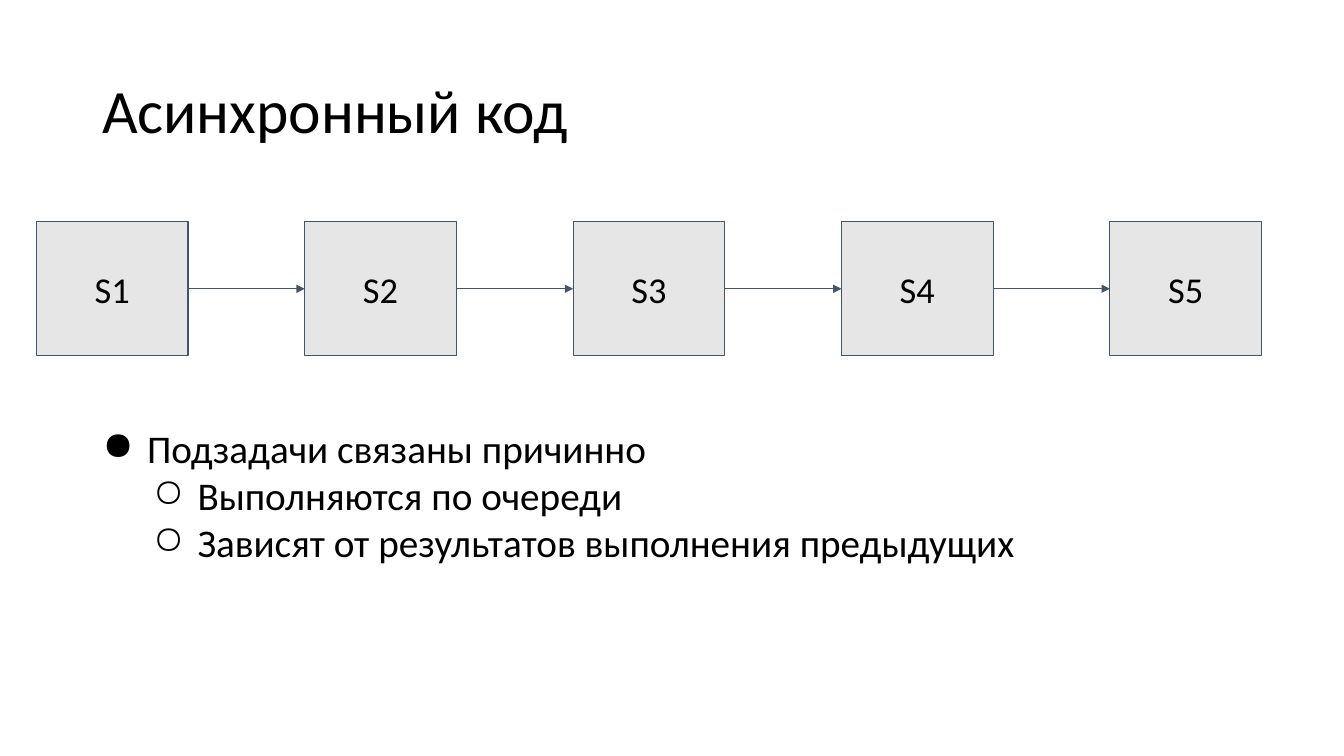
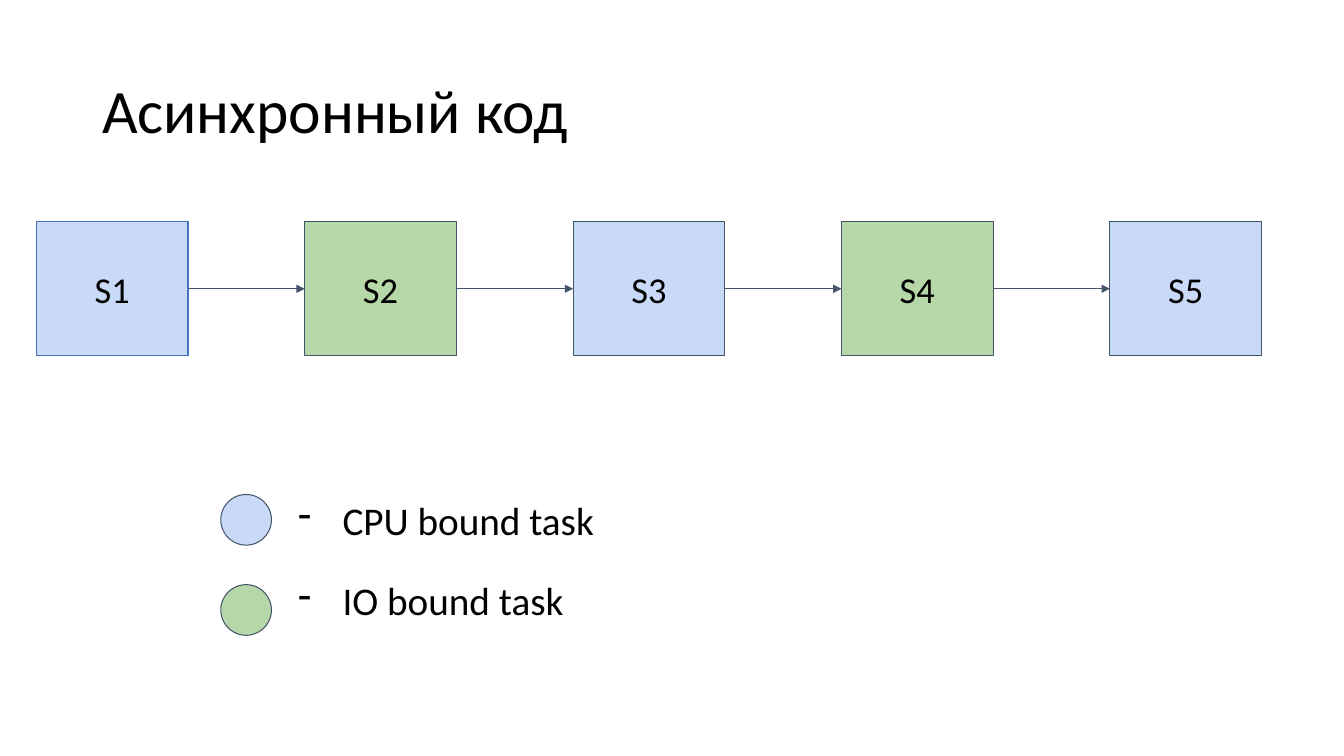
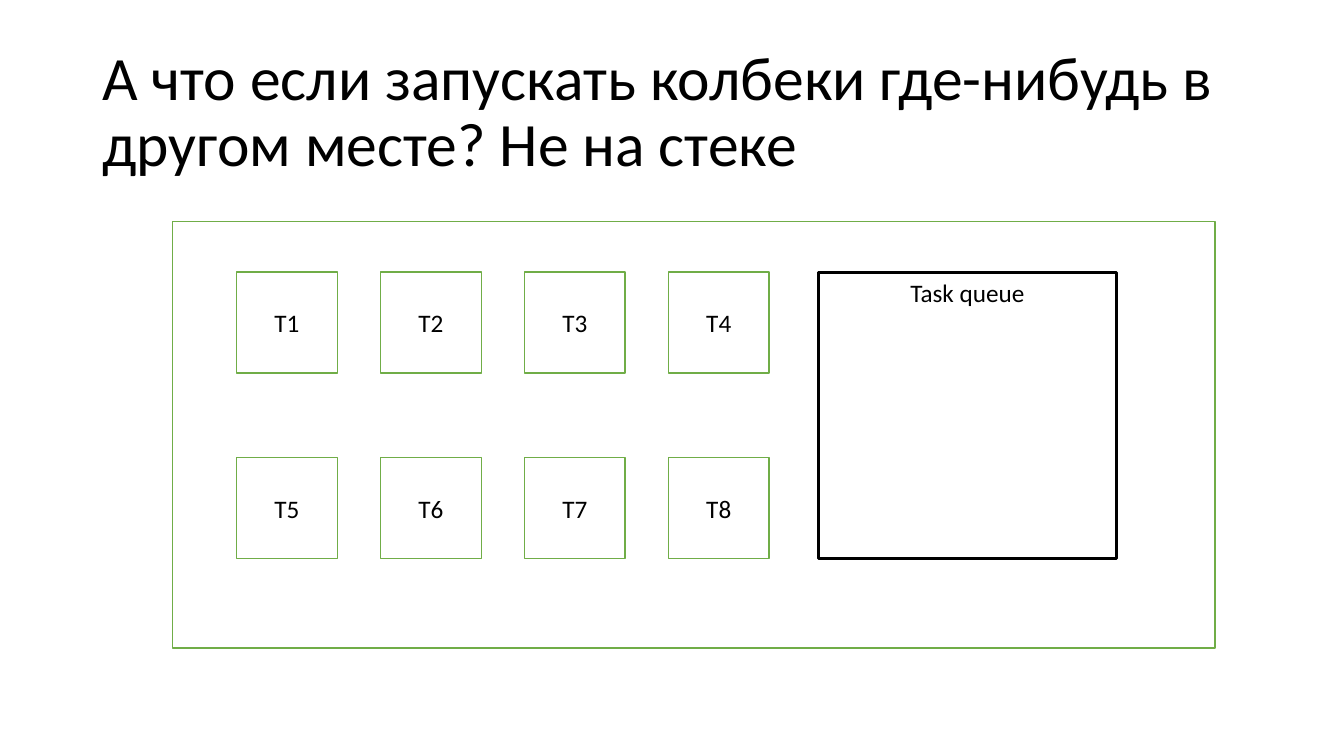
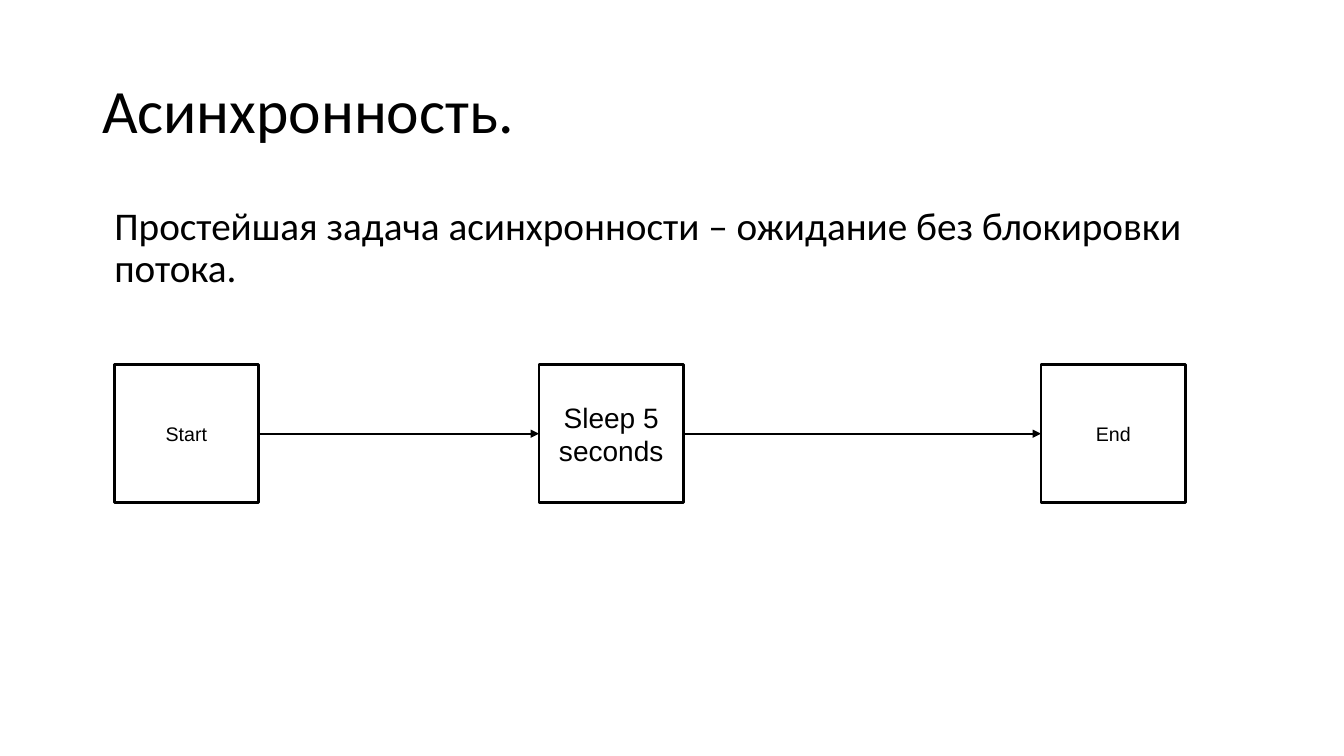
"""Build four slides on asynchronous code."""
from dataclasses import dataclass, replace
from itertools import pairwise
from typing import Any

from lxml.etree import SubElement
from pptx import Presentation
from pptx.dml.color import RGBColor
from pptx.enum.shapes import MSO_CONNECTOR, MSO_SHAPE
from pptx.enum.text import MSO_ANCHOR, PP_ALIGN
from pptx.oxml.ns import qn
from pptx.util import Pt


@dataclass(frozen=True)
class Theme:
    ink: str = "000000"
    paper: str = "FFFFFF"
    slate: str = "44546A"
    royal: str = "4472C4"
    grey: str = "E7E6E6"
    blue: str = "C9DAF8"
    green: str = "B6D7A8"
    leaf: str = "70AD47"
    face: str = "Calibri"
    plain: str = "Arial"
    title: int = 44
    body: int = 28
    step: int = 26
    task: int = 18
    large: int = 20
    small: int = 14


THEME = Theme()


@dataclass(frozen=True)
class Rect:
    left: float
    top: float
    width: float
    height: float


@dataclass(frozen=True)
class Line:
    text: str
    size: int = THEME.body
    face: str = THEME.face
    align: PP_ALIGN = PP_ALIGN.LEFT
    mark: str = ""
    level: int = 0
    indent: float = 0
    hang: float = 0
    space: float = 1
    before: float = 0


@dataclass(frozen=True)
class Style:
    fill: str
    edge: str
    width: float
    size: int = THEME.task
    face: str = THEME.face
    pad: float = 3.6
    anchor: MSO_ANCHOR = MSO_ANCHOR.MIDDLE


STEP = Style(THEME.grey, THEME.slate, 0.75, THEME.step, pad=7.2)
TASK = Style(THEME.paper, THEME.leaf, 1)
QUEUE = Style(THEME.paper, THEME.ink, 2.25, anchor=MSO_ANCHOR.TOP)
STAGE = Style(THEME.paper, THEME.ink, 2, THEME.small, THEME.plain)


def tint(code: str) -> RGBColor:
    return RGBColor.from_string(code)


def place(rect: Rect) -> tuple[Pt, Pt, Pt, Pt]:
    return Pt(rect.left), Pt(rect.top), Pt(rect.width), Pt(rect.height)


def write(shape: Any, lines: list[Line], pad: float, anchor: MSO_ANCHOR) -> None:
    frame = shape.text_frame
    frame.word_wrap = True
    frame.vertical_anchor = anchor
    frame.margin_left = frame.margin_right = Pt(7.2)
    frame.margin_top = frame.margin_bottom = Pt(pad)
    for index, line in enumerate(lines):
        para = frame.add_paragraph() if index else frame.paragraphs[0]
        para.text = line.text
        para.alignment = line.align
        para.level = line.level
        para.line_spacing = line.space
        para.space_before = Pt(line.before)
        para.font.size = Pt(line.size)
        para.font.name = line.face
        para.font.color.rgb = tint(THEME.ink)
        props = para._p.get_or_add_pPr()
        props.set("marL", str(Pt(line.indent)))
        props.set("indent", str(Pt(-line.hang)))
        if line.mark:
            hue = SubElement(props, qn("a:buClr"))
            SubElement(hue, qn("a:srgbClr"), val=THEME.ink)
            SubElement(props, qn("a:buChar"), char=line.mark)
            props.append(props.find(qn("a:defRPr")))


def add_text(slide: Any, rect: Rect, lines: list[Line], pad: float = 7.2,
             anchor: MSO_ANCHOR = MSO_ANCHOR.TOP) -> None:
    write(slide.shapes.add_textbox(*place(rect)), lines, pad, anchor)


def add_box(shapes: Any, rect: Rect, style: Style, text: str = "",
            kind: MSO_SHAPE = MSO_SHAPE.RECTANGLE) -> Any:
    box = shapes.add_shape(kind, *place(rect))
    box.shadow.inherit = False
    box.fill.solid()
    box.fill.fore_color.rgb = tint(style.fill)
    box.line.color.rgb = tint(style.edge)
    box.line.width = Pt(style.width)
    if text:
        line = Line(text, style.size, style.face, PP_ALIGN.CENTER)
        write(box, [line], style.pad, style.anchor)
    return box


def link(slide: Any, boxes: list[Any], color: str, width: float) -> None:
    for start, end in pairwise(boxes):
        arrow = slide.shapes.add_connector(MSO_CONNECTOR.STRAIGHT, 0, 0, 0, 0)
        arrow.begin_connect(start, 3)
        arrow.end_connect(end, 1)
        arrow.line.color.rgb = tint(color)
        arrow.line.width = Pt(width)
        props = arrow._element.spPr
        SubElement(props.find(qn("a:ln")), qn("a:tailEnd"), type="triangle")
        SubElement(props, qn("a:effectLst"))


def add_slide(deck: Any, title: str) -> Any:
    slide = deck.slides.add_slide(deck.slide_layouts[6])
    line = Line(title, THEME.title, space=0.9)
    add_text(slide, Rect(66, 28.75, 828, 104.4), [line], 3.6, MSO_ANCHOR.MIDDLE)
    return slide


def add_chain(slide: Any, styles: list[Style]) -> None:
    boxes = [
        add_box(slide.shapes, Rect(26 + 191.7 * index, 158.4, 108.3, 95.8),
                style, f"S{index + 1}")
        for index, style in enumerate(styles)
    ]
    link(slide, boxes, THEME.slate, 0.75)


def draw_cause(deck: Any) -> None:
    slide = add_slide(deck, "Асинхронный код")
    add_chain(slide, [STEP] * 5)
    first = Line("Подзадачи связаны причинно", mark="●", indent=36, hang=31.75)
    inner = replace(first, mark="○", level=1, indent=72)
    add_text(slide, Rect(62, 296, 788, 150.5), [
        first,
        replace(inner, text="Выполняются по очереди"),
        replace(inner, text="Зависят от результатов выполнения предыдущих"),
    ])


def draw_bound(deck: Any) -> None:
    slide = add_slide(deck, "Асинхронный код")
    cpu = replace(STEP, fill=THEME.blue)
    disk = replace(STEP, fill=THEME.green)
    add_chain(slide, [replace(cpu, edge=THEME.royal), disk, cpu, disk, cpu])
    rows = [
        (cpu, "CPU bound task", 353.2, 347),
        (disk, "IO bound task", 417.6, 404.8),
    ]
    for style, text, dot, top in rows:
        add_box(slide.shapes, Rect(157.7, dot, 36.2, 36.2), style,
                kind=MSO_SHAPE.OVAL)
        line = Line(text, mark="-", indent=36, hang=31.75)
        add_text(slide, Rect(201.6, top, 453, 48.2), [line])


def draw_queue(deck: Any) -> None:
    slide = add_slide(
        deck,
        "А что если запускать колбеки где-нибудь в другом месте? Не на стеке",
    )
    shapes = slide.shapes.add_group_shape().shapes
    add_box(shapes, Rect(123.1, 158.4, 744.7, 304.6), TASK)
    for index in range(8):
        row, col = divmod(index, 4)
        rect = Rect(169 + 102.8 * col, 194.4 + 132.5 * row, 72, 72)
        add_box(shapes, rect, TASK, f"T{index + 1}")
    add_box(shapes, Rect(584.6, 194.4, 212.8, 204.5), QUEUE, "Task queue")


def draw_wait(deck: Any) -> None:
    slide = add_slide(deck, "Асинхронность.")
    text = "Простейшая задача асинхронности – ожидание без блокировки потока."
    line = Line(text, indent=8.64, space=0.9, before=10)
    add_text(slide, Rect(66, 143.75, 828, 342.7), [line], 3.6)
    stages = [
        ("Start", 81.5, STAGE),
        ("Sleep 5 seconds", 385, replace(STAGE, size=THEME.large)),
        ("End", 743.6, STAGE),
    ]
    boxes = [
        add_box(slide.shapes, Rect(left, 260.4, 103.2, 98.8), style, text)
        for text, left, style in stages
    ]
    link(slide, boxes, THEME.ink, 1.5)


def main() -> None:
    deck = Presentation()
    deck.slide_width, deck.slide_height = Pt(960), Pt(540)
    for draw in (draw_cause, draw_bound, draw_queue, draw_wait):
        draw(deck)
    deck.save("out.pptx")


if __name__ == "__main__":
    main()
